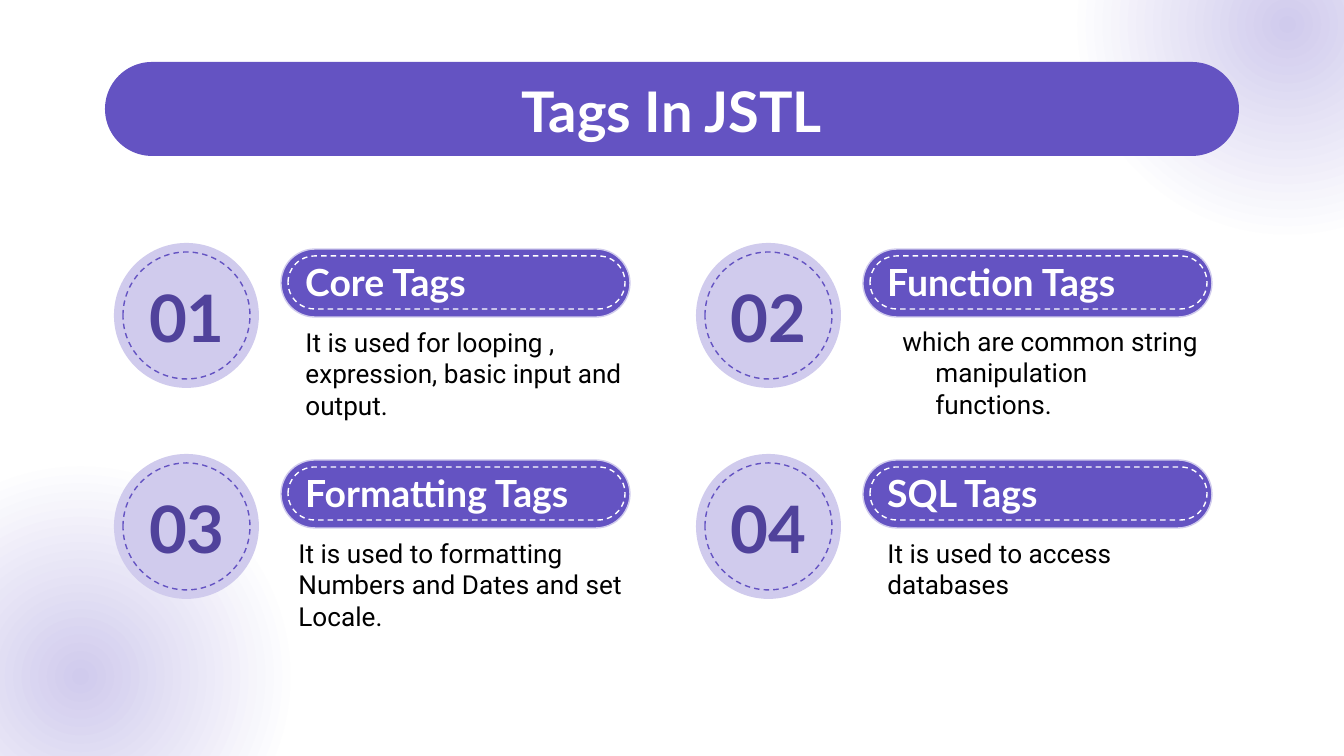
import dataclasses
import typing

import pptx
import pptx.dml.color
import pptx.enum.dml
import pptx.enum.shapes
import pptx.enum.text
import pptx.oxml
import pptx.oxml.ns
import pptx.util

EMU_PER_PIXEL = 914400 / 134.4
COLUMN_STEP, ROW_STEP = 582, 211
COLORS = {
    "violet": "6453C2",
    "lavender": "D0CBED",
    "indigo": "50429B",
    "white": "FFFFFF",
    "black": "000000",
}
OVAL = pptx.enum.shapes.MSO_SHAPE.OVAL
PILL = pptx.enum.shapes.MSO_SHAPE.ROUNDED_RECTANGLE
ALIGN = pptx.enum.text.PP_ALIGN
ANCHOR = pptx.enum.text.MSO_ANCHOR


class Box(typing.NamedTuple):
    left: int
    top: int
    width: int
    height: int

    def moved(self, right: int, down: int) -> "Box":
        return Box(self.left + right, self.top + down, self.width, self.height)


@dataclasses.dataclass(frozen=True)
class TextStyle:
    font: str
    size: int
    color: str
    bold: bool = True
    align: ALIGN = ALIGN.LEFT
    anchor: ANCHOR = ANCHOR.TOP


@dataclasses.dataclass(frozen=True)
class Part:
    kind: pptx.enum.shapes.MSO_SHAPE
    box: Box
    fill: str | None = None
    line: str | None = None
    dashed: bool = False


@dataclasses.dataclass(frozen=True)
class Card:
    heading: str
    description: str
    description_box: Box
    margin: int = 0
    indent: int = 0


TITLE = TextStyle("Lato", 30, "white", align=ALIGN.CENTER)
HEADING = TextStyle("Lato", 20, "white", anchor=ANCHOR.BOTTOM)
NUMBER = TextStyle("Lato", 35, "indigo", align=ALIGN.CENTER, anchor=ANCHOR.MIDDLE)
DESCRIPTION = TextStyle("Roboto", 14, "black", bold=False)

GLOWS = [Box(-134, 462, 429, 429), Box(1073, -190, 429, 429)]
TITLE_BAR = Part(PILL, Box(105, 62, 1134, 94), "violet")
CARD_PARTS = [
    Part(PILL, Box(281, 249, 349, 68), "violet", "lavender"),
    Part(PILL, Box(288, 256, 337, 53), None, "white", True),
    Part(OVAL, Box(114, 243, 145, 145), "lavender"),
    Part(OVAL, Box(123, 252, 127, 127), None, "violet", True),
]
HEADING_BOX = Box(292, 265, 356, 52)
NUMBER_BOX = Box(129, 281, 116, 70)
CARDS = [
    Card("Core Tags", "It is used for looping , expression, basic input and output.",
         Box(292, 313, 356, 114)),
    Card("Function Tags", "which are common string manipulation functions.",
         Box(855, 312, 366, 93), 67, -33),
    Card("Formatting Tags", "It is used to formatting Numbers and Dates and set Locale.",
         Box(285, 524, 356, 112)),
    Card("SQL Tags", "It is used to access databases", Box(874, 524, 356, 93)),
]


def emu(pixels: int) -> pptx.util.Emu:
    return pptx.util.Emu(round(pixels * EMU_PER_PIXEL))


def rgb(name: str) -> pptx.dml.color.RGBColor:
    return pptx.dml.color.RGBColor.from_string(COLORS[name])


def draw_part(slide, part: Part, right: int = 0, down: int = 0):
    shape = slide.shapes.add_shape(part.kind, *map(emu, part.box.moved(right, down)))
    shape.shadow.inherit = False
    if part.kind == PILL:
        shape.adjustments[0] = 0.5
    if part.fill:
        shape.fill.solid()
        shape.fill.fore_color.rgb = rgb(part.fill)
    else:
        shape.fill.background()
    if part.line:
        shape.line.color.rgb = rgb(part.line)
        shape.line.width = pptx.util.Pt(0.75)
        if part.dashed:
            shape.line.dash_style = pptx.enum.dml.MSO_LINE.DASH
    else:
        shape.line.fill.background()
    return shape


def draw_glow(slide, box: Box) -> None:
    properties = draw_part(slide, Part(OVAL, box))._element.spPr
    stops = "".join(
        f'<a:gs pos="{position}"><a:srgbClr val="{COLORS[color]}"/></a:gs>'
        for position, color in [(0, "lavender"), (72000, "white"), (100000, "white")]
    )
    gradient = pptx.oxml.parse_xml(
        f'<a:gradFill {pptx.oxml.ns.nsdecls("a")}><a:gsLst>{stops}</a:gsLst>'
        '<a:path path="circle"><a:fillToRect l="50000" t="50000" r="50000" b="50000"/>'
        "</a:path></a:gradFill>"
    )
    properties.replace(properties.find(pptx.oxml.ns.qn("a:noFill")), gradient)


def write(shape, text: str, style: TextStyle, margin: int = 0, indent: int = 0) -> None:
    frame = shape.text_frame
    frame.text = text
    frame.word_wrap = True
    frame.auto_size = pptx.enum.text.MSO_AUTO_SIZE.NONE
    frame.vertical_anchor = style.anchor
    frame.margin_left = frame.margin_right = pptx.util.Inches(0.1)
    frame.margin_top = frame.margin_bottom = pptx.util.Inches(0.1)
    paragraph = frame.paragraphs[0]
    paragraph.alignment = style.align
    paragraph.space_before = pptx.util.Pt(0)
    properties = paragraph._p.get_or_add_pPr()
    properties.set("marL", str(emu(margin)))
    properties.set("indent", str(emu(indent)))
    properties.append(pptx.oxml.parse_xml(f'<a:buNone {pptx.oxml.ns.nsdecls("a")}/>'))
    paragraph.font.name = style.font
    paragraph.font.size = pptx.util.Pt(style.size)
    paragraph.font.bold = style.bold
    paragraph.font.color.rgb = rgb(style.color)


def place(placeholder, box: Box) -> None:
    placeholder.left, placeholder.top, placeholder.width, placeholder.height = map(emu, box)
    placeholder._element.getparent().append(placeholder._element)


def add_text(slide, box: Box, text: str, style: TextStyle) -> None:
    write(slide.shapes.add_textbox(*map(emu, box)), text, style)


def draw_card(slide, index: int, card: Card, body) -> None:
    row, column = divmod(index, 2)
    right, down = column * COLUMN_STEP, row * ROW_STEP
    for part in CARD_PARTS:
        draw_part(slide, part, right, down)
    add_text(slide, HEADING_BOX.moved(right, down), card.heading, HEADING)
    add_text(slide, NUMBER_BOX.moved(right, down), f"{index + 1:02}", NUMBER)
    place(body, card.description_box)
    write(body, card.description, DESCRIPTION, card.margin, card.indent)


def main() -> None:
    presentation = pptx.Presentation()
    presentation.slide_width, presentation.slide_height = emu(1344), emu(756)
    slide = presentation.slides.add_slide(presentation.slide_layouts.get_by_name("Comparison"))
    title, *bodies = slide.placeholders
    for glow in GLOWS:
        draw_glow(slide, glow)
    draw_part(slide, TITLE_BAR)
    place(title, Box(105, 63, 1134, 75))
    write(title, "Tags In JSTL", TITLE)
    for index, (card, body) in enumerate(zip(CARDS, bodies)):
        draw_card(slide, index, card, body)
    presentation.save("out.pptx")


main()
